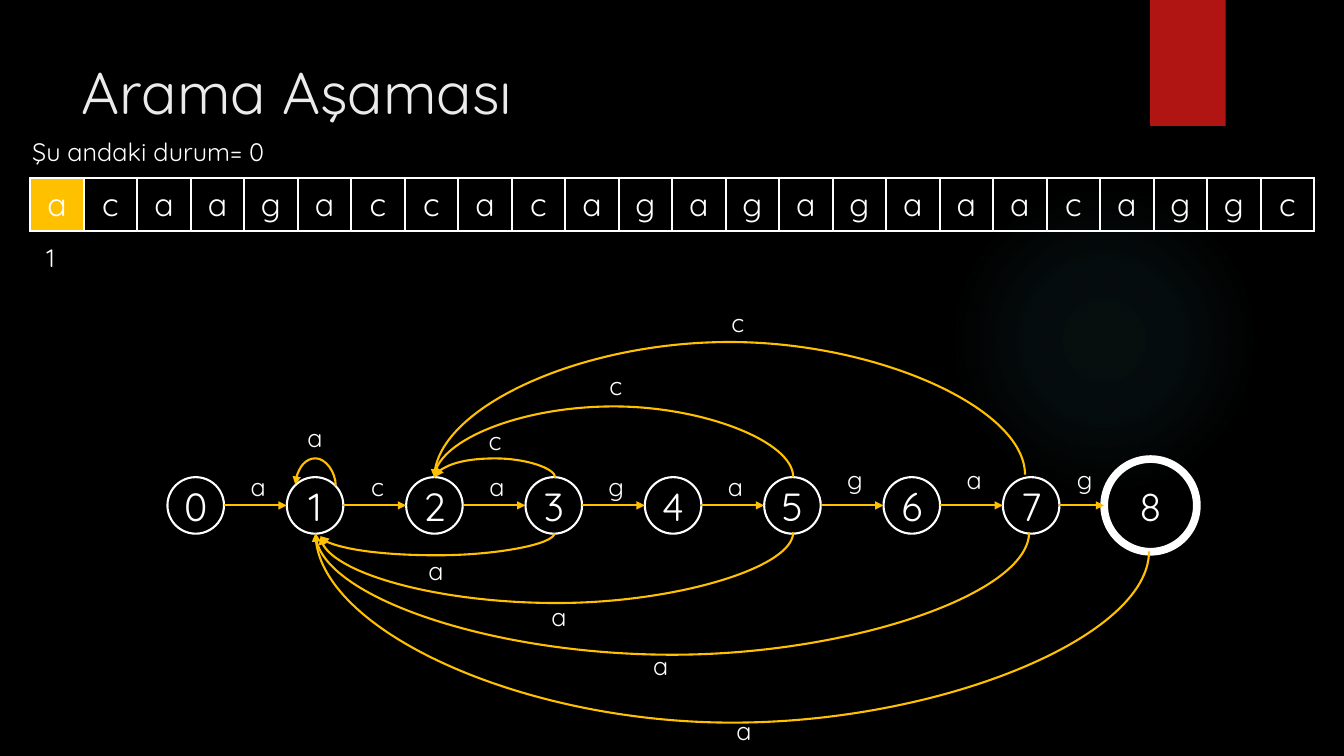
from dataclasses import dataclass

from lxml import etree
from pptx import Presentation
from pptx.dml.color import RGBColor
from pptx.enum import shapes, text
from pptx.oxml import ns, parse_xml
from pptx.util import Pt


@dataclass(frozen=True)
class Theme:
    font: str = "Quicksand"
    back: str = "000000"
    ink: str = "FFFFFF"
    title: str = "EBEBEB"
    accent: str = "FFC000"
    ribbon: str = "B01513"
    glow: str = "50B9C1"
    title_size: float = 42
    state_size: float = 28
    cell_size: float = 23
    label_size: float = 18
    line: float = 1.5
    final_line: float = 5.5


def rgb(value):
    return RGBColor.from_string(value)


class Diagram:
    def __init__(self, page, theme):
        self.page, self.theme = page, theme
        page.background.fill.solid()
        page.background.fill.fore_color.rgb = rgb(theme.back)

    def set_text(self, frame, words, size, align=text.PP_ALIGN.CENTER, color=None):
        para = frame.paragraphs[0]
        para.text, para.alignment = words, align
        para.font.name, para.font.size = self.theme.font, Pt(size)
        para.font.color.rgb = rgb(color or self.theme.ink)

    def bare(self, frame):
        frame.margin_left = frame.margin_right = frame.margin_top = frame.margin_bottom = 0
        frame.word_wrap = False

    def title(self, words, left, top, width, height):
        box = self.page.shapes.title
        box.left, box.top, box.width, box.height = map(Pt, (left, top, width, height))
        box.text_frame.vertical_anchor = text.MSO_ANCHOR.TOP
        self.set_text(box.text_frame, words, self.theme.title_size, text.PP_ALIGN.LEFT, self.theme.title)

    def shape(self, kind, left, top, width, height):
        shape = self.page.shapes.add_shape(kind, Pt(left), Pt(top), Pt(width), Pt(height))
        shape.shadow.inherit = False
        shape.fill.background()
        shape.line.fill.background()
        return shape

    def ribbon(self, left, top, width, height):
        shape = self.shape(shapes.MSO_SHAPE.RECTANGLE, left, top, width, height)
        shape.fill.solid()
        shape.fill.fore_color.rgb = rgb(self.theme.ribbon)

    def glow(self, left, top, size):
        shape = self.shape(shapes.MSO_SHAPE.OVAL, left, top, size, size)
        shape.fill.gradient()
        stops = "".join(
            f'<a:gs pos="{place * 1000}"><a:srgbClr val="{self.theme.glow}">'
            f'<a:alpha val="{alpha * 1000}"/></a:srgbClr></a:gs>'
            for place, alpha in ((0, 7), (36, 6), (69, 0)))
        gradient = parse_xml(
            f'<a:gradFill {ns.nsdecls("a")}><a:gsLst>{stops}</a:gsLst><a:path path="circle">'
            '<a:fillToRect l="50000" t="50000" r="50000" b="50000"/></a:path></a:gradFill>')
        props = shape._element.spPr
        props.replace(props.find(ns.qn("a:gradFill")), gradient)

    def label(self, words, x, y):
        """Put a short label with its centre at x, y."""
        self.note(words, x - 10, y - 11.25, 20, text.PP_ALIGN.CENTER)

    def note(self, words, left, top, width, align=text.PP_ALIGN.LEFT):
        box = self.page.shapes.add_textbox(Pt(left), Pt(top), Pt(width), Pt(22.5))
        self.bare(box.text_frame)
        self.set_text(box.text_frame, words, self.theme.label_size, align)

    def state(self, name, x, y, radius, line):
        shape = self.shape(shapes.MSO_SHAPE.OVAL, x - radius, y - radius, 2 * radius, 2 * radius)
        shape.line.color.rgb, shape.line.width = rgb(self.theme.ink), Pt(line)
        self.bare(shape.text_frame)
        shape.text_frame.vertical_anchor = text.MSO_ANCHOR.MIDDLE
        self.set_text(shape.text_frame, name, self.theme.state_size)

    def arrow(self, x1, y1, x2, y2, kind=shapes.MSO_CONNECTOR.STRAIGHT):
        link = self.page.shapes.add_connector(kind, Pt(x1), Pt(y1), Pt(x2), Pt(y2))
        link.line.color.rgb, link.line.width = rgb(self.theme.accent), Pt(self.theme.line)
        props = link._element.spPr
        etree.SubElement(props.find(ns.qn("a:ln")), ns.qn("a:tailEnd"), type="triangle")
        etree.SubElement(props, ns.qn("a:effectLst"))
        return link

    def arc(self, x1, y1, x2, y2, peak):
        """Bend an arrow from right to left through the height peak."""
        across, rise = x1 - x2, abs(y2 - y1)
        left, top = (x1 + x2 - rise) / 2, (y1 + y2 - across) / 2
        link = self.arrow(left, top, left + rise, top + across, shapes.MSO_CONNECTOR.CURVE)
        above = peak < y1
        frame = link._element.spPr.find(ns.qn("a:xfrm"))
        frame.set("rot", str((270 if above else 90) * 60000))
        frame.set("flipV", str(int(above)))
        frame.set("flipH", str(int((y2 > y1) == above)))
        bend = round((peak - y1) / (y2 - y1) * 100000)
        guides = link._element.spPr.find(ns.qn("a:prstGeom")).get_or_add_avLst()
        etree.SubElement(guides, ns.qn("a:gd"), name="adj1", fmla=f"val {bend}")

    def tape(self, letters, left, top, side, current):
        count = len(letters)
        table = self.page.shapes.add_table(
            1, count, Pt(left), Pt(top), Pt(side * count), Pt(side)).table
        table.first_row = table.horz_banding = False
        for index, letter in enumerate(letters):
            table.columns[index].width = Pt(side)
            cell = table.cell(0, index)
            cell.margin_left = cell.margin_right = cell.margin_top = cell.margin_bottom = Pt(5)
            cell.vertical_anchor = text.MSO_ANCHOR.MIDDLE
            self.set_text(cell.text_frame, letter, self.theme.cell_size)
            props = cell._tc.get_or_add_tcPr()
            for edge in ("lnL", "lnR", "lnT", "lnB"):
                props.append(parse_xml(
                    f'<a:{edge} {ns.nsdecls("a")} w="{int(Pt(self.theme.line))}"><a:solidFill>'
                    f'<a:srgbClr val="{self.theme.ink}"/></a:solidFill></a:{edge}>'))
            if index == current:
                cell.fill.solid()
                cell.fill.fore_color.rgb = rgb(self.theme.accent)
            else:
                cell.fill.background()


PATTERN = "acagagag"
AXIS, FIRST, PITCH, RADIUS, FINAL_RADIUS = 361, 139.8, 85.25, 20.2, 33.1
# Start x, y, end x, y, peak, then letter and its centre
BACK_ARCS = [
    (239.8, 347, 211, 346.3, 327.6, "a", 225, 313),
    (396.7, 341.3, 311, 340.6, 327.6, "c", 353.6, 315.3),
    (396, 380.9, 229, 383, 396.7, "a", 311.4, 408),
    (566.6, 380.2, 229, 383, 430.6, "a", 399.3, 441),
    (566.6, 340.6, 310.3, 341.3, 290.9, "c", 440, 276),
    (732.2, 339.1, 310.3, 341.3, 244.8, "c", 527, 231),
    (735.1, 380.2, 225.4, 380.9, 466.6, "a", 472, 476),
    (820.8, 393.8, 225.4, 380.9, 516.2, "a", 531.4, 522),
]


def main():
    deck = Presentation()
    deck.slide_width, deck.slide_height = Pt(960), Pt(540)
    theme = Theme()
    diagram = Diagram(deck.slides.add_slide(deck.slide_layouts[5]), theme)

    # Backdrop and title
    diagram.glow(677.5, 131.8, 221.8)
    diagram.ribbon(821.5, 0, 54, 90)
    diagram.title("Arama Aşaması", 51.1, 36, 740.9, 110.2)

    # Searched text and current position
    diagram.note("Şu andaki durum= 0", 23, 97.2, 175)
    diagram.tape("acaagaccacagagagaaacaggc", 21.6, 126.9, 38.23, current=0)
    diagram.note("1", 33.1, 172.8, 12)

    # States
    last = len(PATTERN)
    centres = [FIRST + PITCH * index for index in range(last + 1)]
    radii = [RADIUS] * last + [FINAL_RADIUS]
    for index, (x, radius) in enumerate(zip(centres, radii)):
        line = theme.final_line if index == last else theme.line
        diagram.state(str(index), x, AXIS, radius, line)

    # Forward steps
    for index, letter in enumerate(PATTERN):
        start, end = centres[index] + radii[index], centres[index + 1] - radii[index + 1]
        diagram.arrow(start, AXIS, end, AXIS)
        diagram.label(letter, (start + end) / 2 + 2, 348 if index < 5 else 343)

    # Backward steps
    for *curve, letter, x, y in BACK_ARCS:
        diagram.arc(*curve)
        diagram.label(letter, x, y)

    deck.save("out.pptx")


if __name__ == "__main__":
    main()
